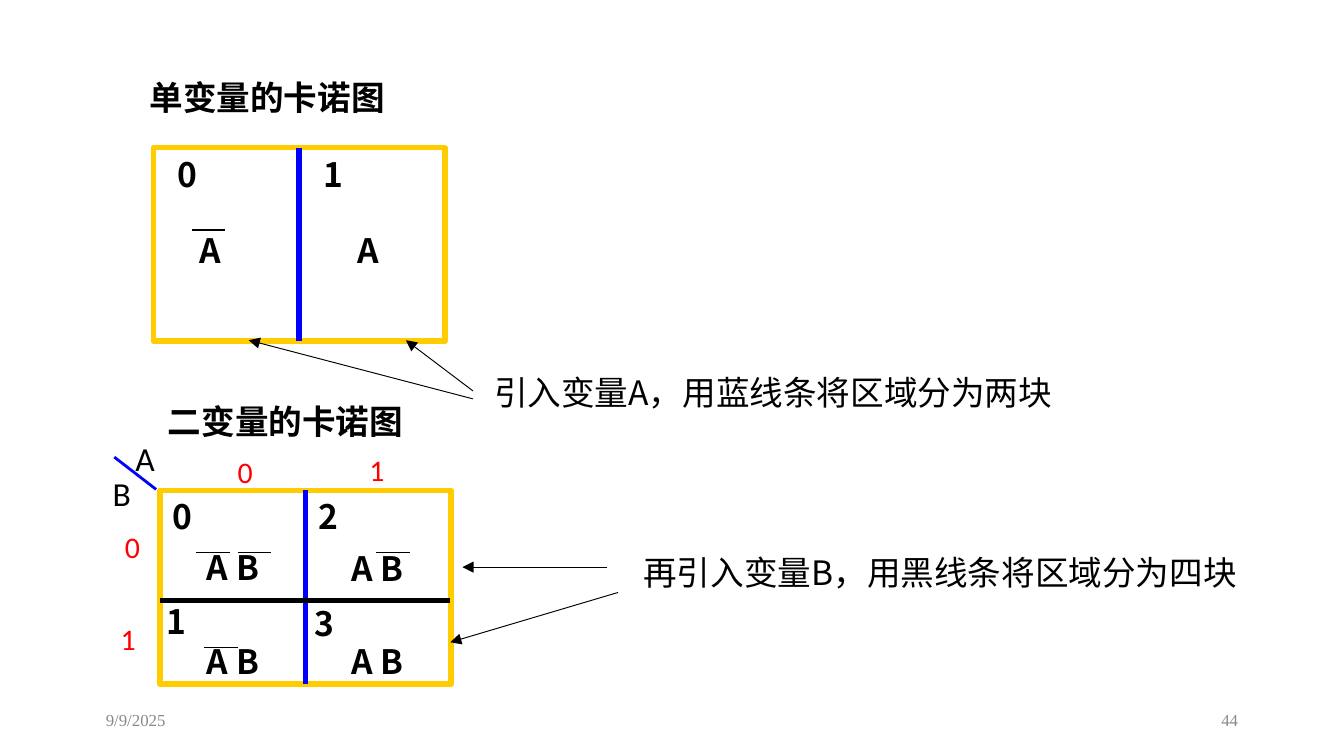
from lxml.etree import SubElement
from pptx import Presentation
from pptx.dml.color import RGBColor
from pptx.enum.shapes import MSO_CONNECTOR as Connector, MSO_SHAPE as Shape
from pptx.enum.text import MSO_ANCHOR as Anchor, MSO_AUTO_SIZE as AutoSize, PP_ALIGN as Align
from pptx.oxml.ns import qn
from pptx.util import Cm, Pt

BLACK = RGBColor(0x00, 0x00, 0x00)
WHITE = RGBColor(0xFF, 0xFF, 0xFF)
GRAY = RGBColor(0x89, 0x89, 0x89)
RED = RGBColor(0xFF, 0x00, 0x00)
BLUE = RGBColor(0x00, 0x00, 0xFF)
GOLD = RGBColor(0xFF, 0xCC, 0x00)

HEAD = {"name": "Noto Sans CJK SC", "size": Pt(18), "bold": True}
NOTE = {**HEAD, "bold": False}
AXIS = {"name": "Calibri", "size": Pt(18), "bold": False}
CODE = {**AXIS, "size": Pt(16)}
FOOT = {"name": "Times New Roman", "size": Pt(9), "bold": False}


def write(holder, text, style, color=BLACK, align=Align.LEFT, anchor=Anchor.TOP):
    frame = holder.text_frame
    frame.word_wrap = True
    frame.auto_size = AutoSize.NONE
    frame.vertical_anchor = anchor
    paragraph = frame.paragraphs[0]
    paragraph.alignment = align
    run = paragraph.add_run()
    run.text = text
    for key, value in style.items():
        setattr(run.font, key, value)
    run.font.color.rgb = color
    SubElement(run.font._element, qn("a:ea")).set("typeface", style["name"])
    return paragraph


def draw_line(x1, y1, x2, y2, color, width, arrow=False):
    line = slide.shapes.add_connector(Connector.STRAIGHT, Cm(x1), Cm(y1), Cm(x2), Cm(y2))
    line.line.color.rgb = color
    line.line.width = Pt(width)
    if arrow:
        SubElement(line.line._get_or_add_ln(), qn("a:tailEnd")).set("type", "triangle")
    SubElement(line._element.spPr, qn("a:effectLst"))
    return line


deck = Presentation()
deck.slide_width, deck.slide_height = Cm(25.4), Cm(14.29)
slide = deck.slides.add_slide(deck.slide_layouts[1])

one_variable, two_variables = slide.placeholders
for heading, text, box in (
    (one_variable, "单变量的卡诺图", (2.57, 1.42, 13.13, 1.32)),
    (two_variables, "二变量的卡诺图", (2.92, 7.54, 21.59, 1.27)),
):
    heading.left, heading.top, heading.width, heading.height = map(Cm, box)
    paragraph = write(heading, text, HEAD)
    paragraph.line_spacing = 0.9
    paragraph.space_before = Pt(0)
bullet_props = paragraph._p.get_or_add_pPr()
bullet_props.set("marL", "0")
bullet_props.set("indent", "0")
SubElement(bullet_props, qn("a:buNone"))

for left, top in ((2.9, 2.79), (3.02, 9.27)):
    karnaugh_map = slide.shapes.add_shape(Shape.RECTANGLE, Cm(left), Cm(top), Cm(5.51), Cm(3.66))
    karnaugh_map.shadow.inherit = False
    karnaugh_map.fill.solid()
    karnaugh_map.fill.fore_color.rgb = WHITE
    karnaugh_map.line.color.rgb = GOLD
    karnaugh_map.line.width = Pt(3)
    a_divider = draw_line(left, top, left, top, BLUE, 3)
    a_divider.begin_connect(karnaugh_map, 0)
    a_divider.end_connect(karnaugh_map, 2)

draw_line(3.02, 11.35, 8.51, 11.35, BLACK, 3)
draw_line(2.16, 8.64, 2.95, 9.25, BLUE, 1.5)

for ends in (
    (8.94, 7.39, 7.67, 6.43),
    (8.94, 7.54, 4.7, 6.43),
    (11.48, 10.72, 8.74, 10.72),
    (11.68, 11.2, 8.51, 12.14),
):
    draw_line(*ends, BLACK, 0.5, arrow=True)

for left, top, weight in (
    (3.63, 4.34, 1),
    (3.71, 10.44, 0.75),
    (4.5, 10.44, 0.75),
    (7.11, 10.44, 0.75),
    (3.86, 12.24, 0.75),
):
    draw_line(left, top, left + 0.63, top, BLACK, weight)

label_groups = (
    (NOTE, BLACK, 12.7, 1.02, (
        ("引入变量A，用蓝线条将区域分为两块", 9.09, 6.91),
        ("再引入变量B，用黑线条将区域分为四块", 11.91, 10.31))),
    (HEAD, BLACK, 1.9, 1.02, (
        ("A", 3.53, 4.22), ("A", 6.5, 4.22),
        ("A B", 3.66, 10.21), ("A B", 6.4, 10.24),
        ("A B", 3.66, 11.99), ("A B", 6.4, 11.99))),
    (HEAD, BLACK, 1.47, 1.02, (
        ("0", 3.1, 2.79), ("1", 5.87, 2.79),
        ("0", 3.02, 9.25), ("2", 5.77, 9.25),
        ("1", 2.9, 11.23), ("3", 5.69, 11.28))),
    (AXIS, BLACK, 0.79, 1.02, (("A", 2.31, 8.15), ("B", 1.88, 8.81))),
    (CODE, RED, 1.32, 0.94, (
        ("0", 4.24, 8.46), ("1", 6.73, 8.41),
        ("0", 2.11, 9.86), ("1", 2.03, 11.61))),
)
for style, color, width, height, labels in label_groups:
    for text, left, top in labels:
        label = slide.shapes.add_textbox(Cm(left), Cm(top), Cm(width), Cm(height))
        write(label, text, style, color)

for text, left, align in (("9/9/2025", 1.75, Align.LEFT), ("44", 17.93, Align.RIGHT)):
    footer = slide.shapes.add_textbox(Cm(left), Cm(13.23), Cm(5.72), Cm(0.76))
    write(footer, text, FOOT, GRAY, align, Anchor.MIDDLE)

deck.save("out.pptx")
